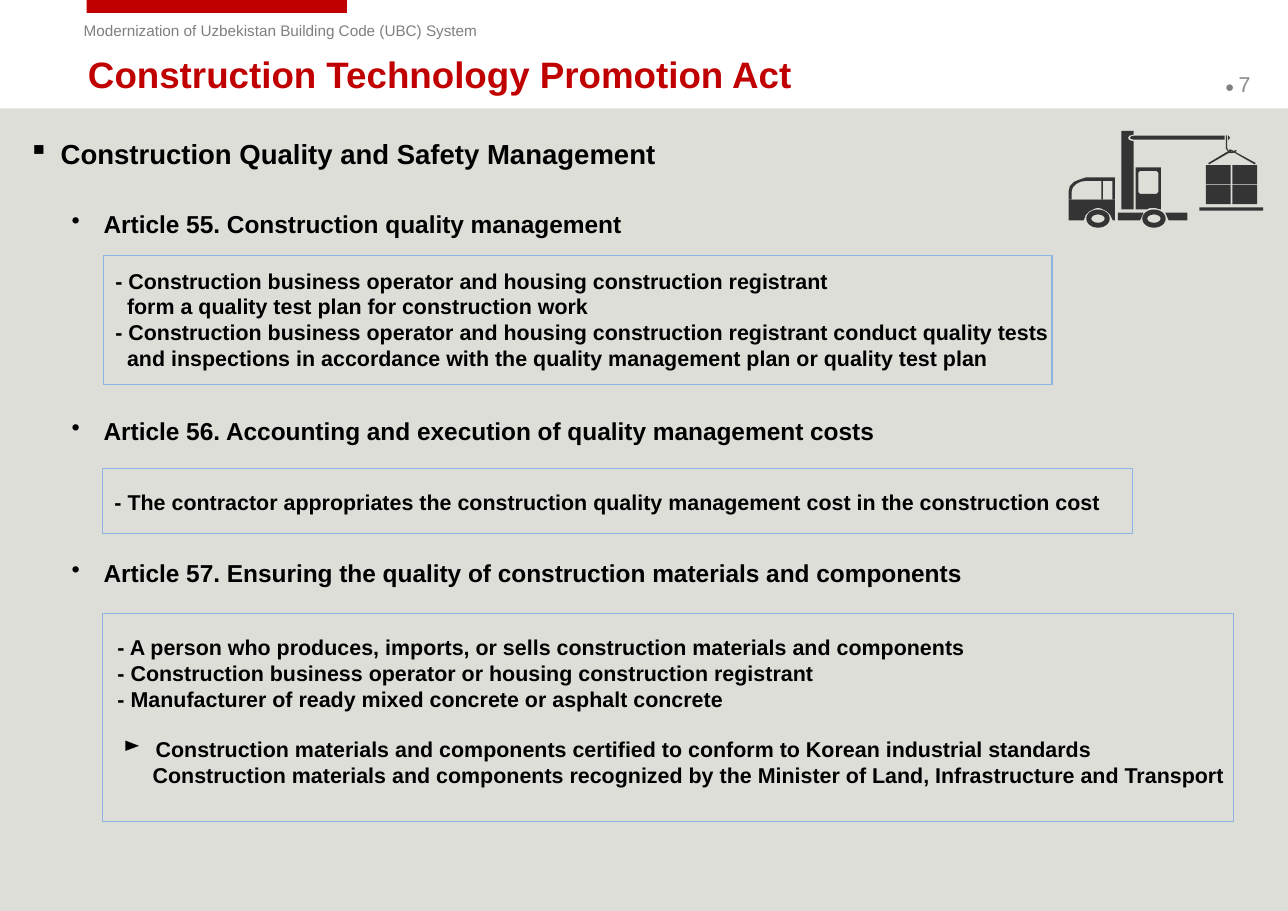
import pptx
import pptx.dml.color
import pptx.enum.shapes
import pptx.enum.text
import pptx.oxml.ns
import pptx.util
from lxml import etree

Cm = pptx.util.Cm
Pt = pptx.util.Pt
RGBColor = pptx.dml.color.RGBColor
SHAPE = pptx.enum.shapes.MSO_SHAPE

RED = RGBColor(0xC0, 0x00, 0x00)
PANEL = RGBColor(0xDE, 0xDE, 0xD8)
GRAY = RGBColor(0x80, 0x80, 0x80)
PAGE_GRAY = RGBColor(0x8C, 0x8C, 0x8C)
BLACK = RGBColor(0x00, 0x00, 0x00)
BORDER = RGBColor(0x8E, 0xB4, 0xE3)
ICON = RGBColor(0x34, 0x34, 0x35)

# Text, bullet, left margin, first-line indent (cm), space before and size (pt)
OUTLINE = [
    ("Construction Quality and Safety Management", "▪", 0.74, -0.74, 0, 18),
    ("Article 55. Construction quality management", "•", 1.73, -0.74, 26, 16),
    ("Article 56. Accounting and execution of quality management costs",
     "•", 1.73, -0.74, 116, 16),
    ("Article 57. Ensuring the quality of construction materials and components",
     "•", 1.73, -0.74, 73.5, 16),
]


def detail(text, bullet=None, margin=0, indent=0, before=0):
    return text, bullet, margin, indent, before, 14


# Border place, text place, lines
DETAILS = [
    ((2.39, 5.89, 21.87, 2.97), (2.41, 6.05, 22.2, 2.64), [
        detail("- Construction business operator and housing construction registrant"),
        detail("form a quality test plan for construction work", margin=0.27),
        detail("- Construction business operator and housing construction registrant "
               "conduct quality tests"),
        detail("and inspections in accordance with the quality management plan "
               "or quality test plan", margin=0.27),
    ]),
    ((2.36, 10.8, 23.75, 1.5), (2.39, 11.15, 23.47, 0.86), [
        detail("- The contractor appropriates the construction quality management "
               "cost in the construction cost"),
    ]),
    ((2.36, 14.15, 26.09, 4.78), (2.46, 14.5, 26.09, 3.84), [
        detail("- A person who produces, imports, or sells construction materials "
               "and components"),
        detail("- Construction business operator or housing construction registrant"),
        detail("- Manufacturer of ready mixed concrete or asphalt concrete"),
        detail("Construction materials and components certified to conform to "
               "Korean industrial standards", "►", 0.88, -0.74, 16),
        detail("Construction materials and components recognized by the Minister "
               "of Land, Infrastructure and Transport", margin=0.81),
    ]),
]

# Crane truck outlines in hundredths of a centimetre; later contours are holes
CRANE_PARTS = {
    "mast": [[(2586, 302), (2614, 302), (2614, 310), (2604, 313), (2601, 318),
              (2604, 323), (2614, 326), (2614, 483), (2586, 483)]],
    "boom": [[(2614, 313), (2824, 313), (2824, 322), (2614, 322), (2607, 320),
              (2606, 317), (2609, 314)]],
    "boom tip": [[(2832, 312), (2837, 318), (2832, 323)]],
    "hook": [[(2852, 348), (2847, 351), (2842, 353), (2835, 353), (2832, 349),
              (2827, 343), (2827, 312), (2830, 312), (2830, 341), (2832, 346),
              (2840, 350), (2845, 348), (2850, 346)]],
    "left sling": [[(2786, 376), (2788, 379), (2840, 349), (2838, 345)]],
    "right sling": [[(2896, 376), (2893, 379), (2834, 345), (2839, 345)]],
    "front chassis": [[(2578, 490), (2637, 490), (2629, 508), (2578, 508)]],
    "rear chassis": [[(2687, 490), (2738, 490), (2738, 508), (2695, 508)]],
    "crane cabin": [
        [(2619, 386), (2677, 386), (2677, 483), (2662, 479), (2650, 480),
         (2644, 483), (2619, 483)],
        [(2629, 394), (2667, 394), (2671, 398), (2671, 443), (2667, 447),
         (2629, 447), (2625, 443), (2625, 398)]],
    "truck front": [[(2464, 460), (2571, 460), (2571, 508), (2566, 508),
                     (2560, 495), (2552, 487), (2540, 481), (2532, 479),
                     (2524, 481), (2512, 487), (2504, 495), (2499, 508),
                     (2464, 508)]],
    "truck cab": [
        [(2464, 460), (2464, 442), (2467, 429), (2477, 419), (2489, 414),
         (2504, 409), (2571, 409), (2571, 460)],
        [(2543, 417), (2565, 417), (2565, 460), (2543, 460)],
        [(2540, 417), (2504, 417), (2492, 419), (2482, 424), (2474, 432),
         (2471, 442), (2471, 460), (2540, 460)]],
}


def paint(shape, fill=None, line=None):
    shape.shadow.inherit = False
    if fill is None:
        shape.fill.background()
    else:
        shape.fill.solid()
        shape.fill.fore_color.rgb = fill
    if line is None:
        shape.line.fill.background()
    else:
        shape.line.color.rgb = line
        shape.line.width = Pt(0.75)


def add_block(shapes, place, fill=None, line=None, kind=SHAPE.RECTANGLE):
    block = shapes.add_shape(kind, *map(Cm, place))
    paint(block, fill, line)
    return block


def add_frame(page, place, inset=None, middle=False):
    frame = page.shapes.add_textbox(*map(Cm, place)).text_frame
    frame.word_wrap = True
    if inset:
        frame.margin_left = frame.margin_right = Cm(inset[0])
        frame.margin_top = frame.margin_bottom = Cm(inset[1])
    if middle:
        frame.vertical_anchor = pptx.enum.text.MSO_ANCHOR.MIDDLE
    return frame


def style(font, size, color, bold=False):
    font.name = "Arial"
    font.size = Pt(size)
    font.color.rgb = color
    font.bold = bold


def add_lines(frame, lines):
    for index, (text, bullet, margin, indent, before, size) in enumerate(lines):
        para = frame.add_paragraph() if index else frame.paragraphs[0]
        para.add_run().text = text
        if before:
            para.space_before = Pt(before)
        properties = para._p.get_or_add_pPr()
        if margin:
            properties.set("marL", str(Cm(margin)))
            properties.set("indent", str(Cm(indent)))
        if bullet:
            mark = etree.SubElement(properties, pptx.oxml.ns.qn("a:buChar"))
            mark.set("char", bullet)
        style(para.font, size, BLACK, True)


def add_outline(shapes, contours):
    first, *rest = contours
    builder = shapes.build_freeform(*first[0], scale=Cm(0.01))
    builder.add_line_segments(first[1:])
    for contour in rest:
        builder.move_to(*contour[0])
        builder.add_line_segments(contour[1:])
    paint(builder.convert_to_shape(), ICON)


def add_crane_truck(page):
    icon = page.shapes.add_group_shape().shapes
    for contours in CRANE_PARTS.values():
        add_outline(icon, contours)
    for left in (25.05, 26.34):
        wheel = add_block(icon, (left, 4.83, 0.54, 0.42), ICON, kind=SHAPE.DONUT)
        wheel.adjustments[0] = 0.27
    # Load: two by two crates on a pallet
    for row in range(2):
        for column in range(2):
            add_block(icon, (27.81 + 0.61 * column, 3.81 + 0.46 * row, 0.57, 0.44), ICON)
    add_block(icon, (27.66, 4.78, 1.47, 0.08), ICON)


def add_header(page):
    add_block(page.shapes, (0, 2.5, 29.7, 18.5), PANEL)
    add_block(page.shapes, (2, 0, 6, 0.3), RED)

    subject = add_frame(page, (1.68, 0.36, 11.89, 0.69)).paragraphs[0]
    subject.add_run().text = "Modernization of Uzbekistan Building Code (UBC) System"
    style(subject.font, 10, GRAY)

    title = add_frame(page, (1.75, 1.19, 26.47, 1.02), (0.28, 0.15), True).paragraphs[0]
    title.add_run().text = "Construction Technology Promotion Act"
    style(title.font, 24, RED, True)

    number = add_frame(page, (27.97, 1.37, 1.75, 1.12), (0.28, 0.15), True).paragraphs[0]
    for text, size, color in (("● ", 10, GRAY), ("7", 14, PAGE_GRAY)):
        span = number.add_run()
        span.text = text
        style(span.font, size, color)


def main():
    deck = pptx.Presentation()
    deck.slide_width, deck.slide_height = Cm(29.7), Cm(21)
    page = deck.slides.add_slide(deck.slide_layouts[6])

    add_header(page)
    add_lines(add_frame(page, (0.38, 3, 28.9, 18), (0.28, 0.15)), OUTLINE)
    add_crane_truck(page)
    for border, place, lines in DETAILS:
        add_block(page.shapes, border, line=BORDER)
        add_lines(add_frame(page, place), lines)

    deck.save("out.pptx")


if __name__ == "__main__":
    main()
